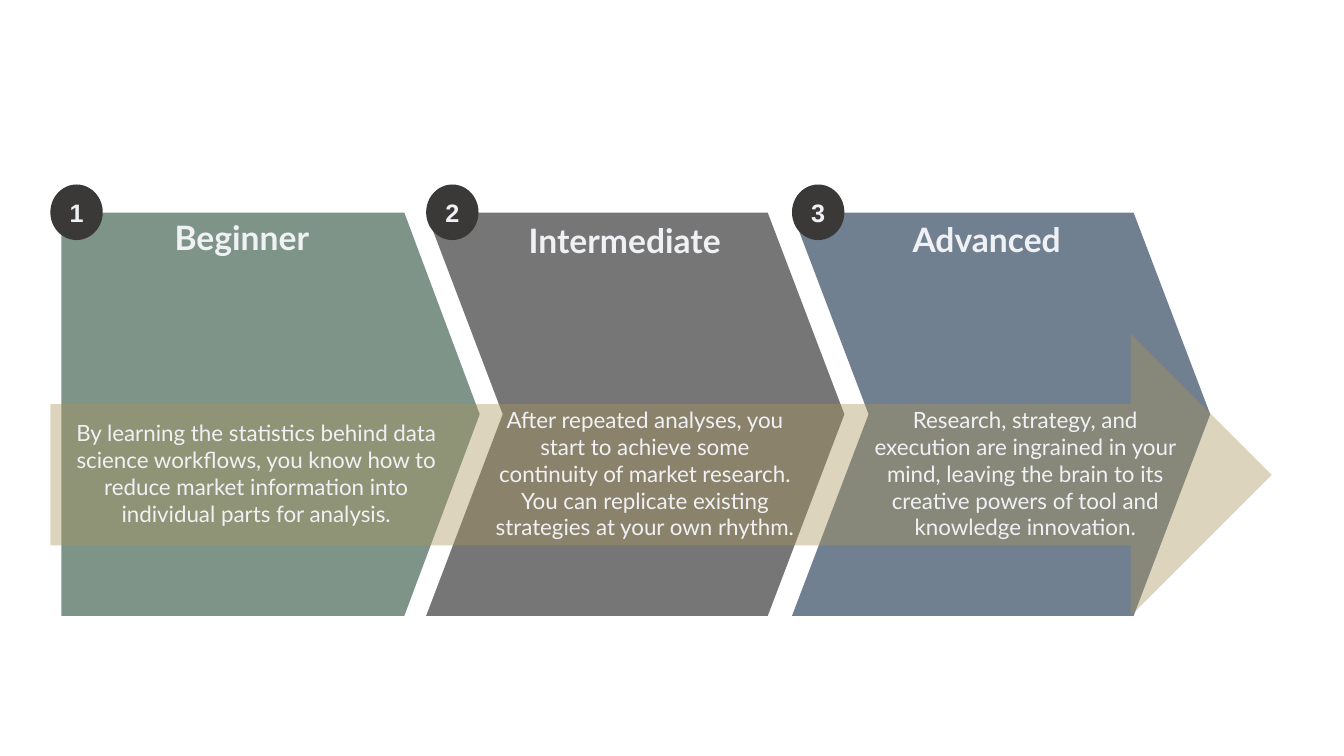
from dataclasses import dataclass
from pptx import Presentation
from pptx.dml.color import RGBColor
from pptx.enum.shapes import MSO_SHAPE as SHAPE
from pptx.enum.text import MSO_ANCHOR as ANCHOR, PP_ALIGN as ALIGN
from pptx.oxml.ns import qn
from pptx.util import Cm, Pt
from lxml.etree import SubElement


@dataclass
class Theme:
    green: str = "7F9488"
    grey: str = "767676"
    blue: str = "708090"
    badge: str = "3B3838"
    arrow: str = "AB955B"
    text: str = "F0F1F4"
    body_font: str = "Lato"
    badge_font: str = "Arial"
    title_size: int = 24
    badge_size: int = 18
    body_size: int = 16


theme = Theme()


def add_filled(kind, left, top, width, height, color):
    sp = s.shapes.add_shape(kind, Cm(left), Cm(top), Cm(width), Cm(height))
    sp.shadow.inherit = False
    sp.fill.solid()
    sp.fill.fore_color.rgb = RGBColor.from_string(color)
    sp.line.fill.background()
    return sp


def write(sp, text, size, font=theme.body_font, bold=False, anchor=ANCHOR.TOP):
    tf = sp.text_frame
    tf.word_wrap = True
    tf.vertical_anchor = anchor
    p = tf.paragraphs[0]
    p.alignment = ALIGN.CENTER
    r = p.add_run()
    r.text = text
    r.font.name = font
    r.font.size = Pt(size)
    r.font.bold = bold
    r.font.color.rgb = RGBColor.from_string(theme.text)


prs = Presentation()
prs.slide_width, prs.slide_height = Cm(33.87), Cm(19.05)
s = prs.slides.add_slide(prs.slide_layouts[6])

# Each stage: outline, adjustment, colour, outline left, badge left,
# title and its left/top, body and its left/top/width/height
stages = [
    (SHAPE.PENTAGON, 0.187, theme.green, 1.55, 1.27,
     "Beginner", (1.6, 5.33),
     "By learning the statistics behind data science workflows, you know how to "
     "reduce market information into individual parts for analysis.",
     (1.47, 10.44, 9.98, 3)),
    (SHAPE.CHEVRON, 0.19, theme.grey, 10.74, 10.74,
     "Intermediate", (11.25, 5.41),
     "After repeated analyses, you start to achieve some continuity of market "
     "research. You can replicate existing strategies at your own rhythm.",
     (12.09, 10.11, 8.33, 3.68)),
    (SHAPE.CHEVRON, 0.19, theme.blue, 19.96, 19.96,
     "Advanced", (20.37, 5.38),
     "Research, strategy, and execution are ingrained in your mind, leaving the "
     "brain to its creative powers of tool and knowledge innovation.",
     (21.51, 10.11, 8.66, 3.68)),
]

# Stage outlines with numbered badges
for number, (kind, adj, color, left, badge_left, *_) in enumerate(stages, 1):
    sp = add_filled(kind, left, 5.36, 10.54, 10.16, color)
    sp.adjustments[0] = adj
    badge = add_filled(SHAPE.OVAL, badge_left, 4.65, 1.32, 1.4, theme.badge)
    tf = badge.text_frame
    tf.margin_left = tf.margin_right = tf.margin_top = tf.margin_bottom = 0
    write(badge, str(number), theme.badge_size, theme.badge_font, True, ANCHOR.MIDDLE)

# Translucent arrow across all stages
arrow = add_filled(SHAPE.RIGHT_ARROW, 1.27, 8.41, 30.78, 7.11, theme.arrow)
fill_color = arrow.fill._xPr.find(qn("a:solidFill"))[0]
SubElement(fill_color, qn("a:alpha"), val="40000")

# Titles and descriptions
for *_, title, (left, top), body, body_box in stages:
    sp = s.shapes.add_textbox(Cm(left), Cm(top), Cm(8.99), Cm(1.27))
    write(sp, title, theme.title_size, bold=True)
    sp = s.shapes.add_textbox(*map(Cm, body_box))
    write(sp, body, theme.body_size)

prs.save("out.pptx")
